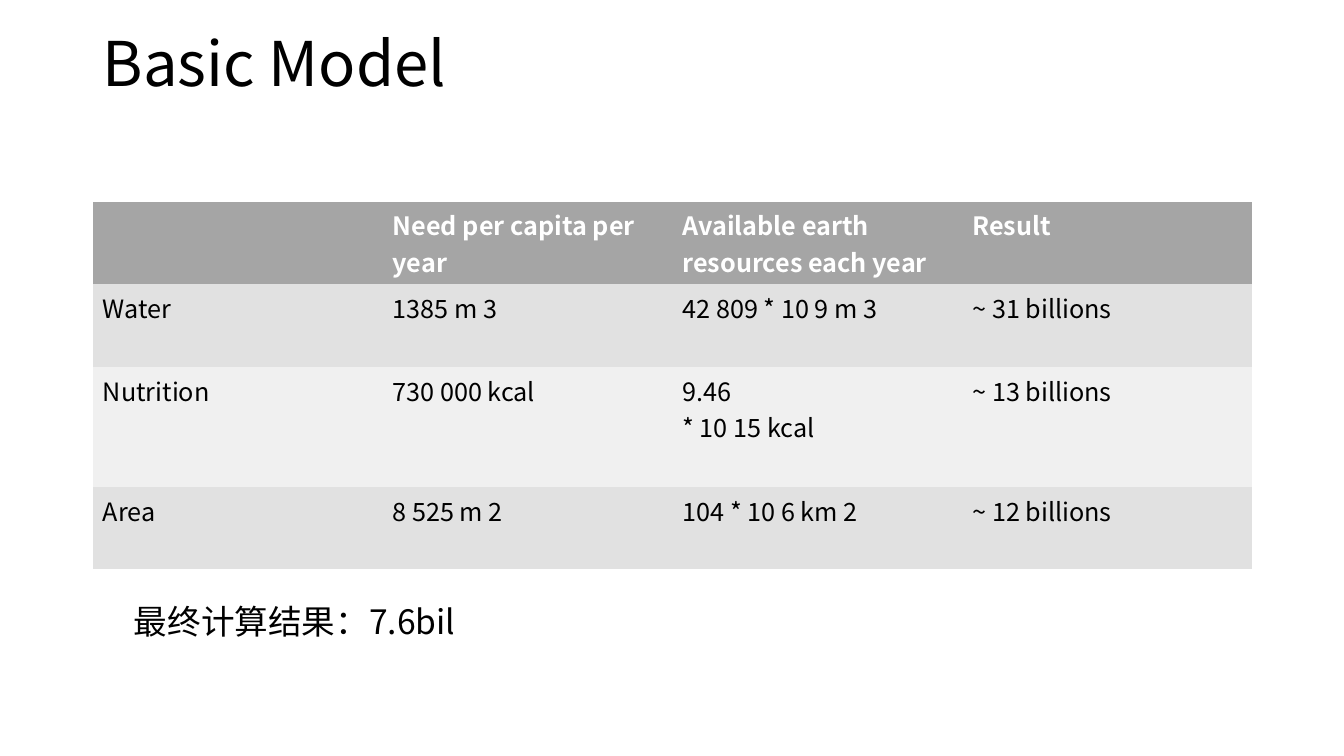
from pptx import Presentation
from pptx.dml.color import RGBColor
from pptx.enum.text import MSO_ANCHOR
from pptx.oxml.ns import qn
from pptx.util import Inches, Pt
from lxml import etree

TOP = MSO_ANCHOR.TOP
FONT = "Noto Sans CJK SC"
PLAIN_TABLE_STYLE = "{2D5ABB26-0587-4C30-8999-92F81FD0307C}"
COLORS = {
    "text": "000000",
    "header_text": "FFFFFF",
    "header": "A5A5A5",
    "dark_band": "E1E1E1",
    "light_band": "F0F0F0",
}

TITLE = {
    "lines": ["Basic Model"],
    "at": (0.92, 0.33, 11.5, 1.45),
    "size": 44,
    "frame": {"word_wrap": True, "vertical_anchor": TOP, "margin_top": 0},
    "spacing": 0.9,
}
CONCLUSION = {
    "lines": ["最终计算结果：7.6bil"],
    "at": (1.23, 5.91, 3.97, 0.5),
    "size": 24,
    "frame": {"word_wrap": True, "vertical_anchor": TOP},
    "spacing": 1.0,
}
TABLE_AT = (0.92, 2)
TABLE_WIDTH = 11.5
ROW_HEIGHTS = [0.82, 0.82, 1.19, 0.82]
ROWS = [
    ["", "Need per capita per year", "Available earth resources each year", "Result"],
    ["Water", "1385 m 3", "42 809 * 10 9 m 3", "~ 31 billions"],
    ["Nutrition", "730 000 kcal", "9.46\n* 10 15 kcal", "~ 13 billions"],
    ["Area", "8 525 m 2", "104 * 10 6 km 2", "~ 12 billions"],
]


def write_lines(frame, lines, size, color="text", bold=False, spacing=1.0):
    for index, line in enumerate(lines):
        para = frame.paragraphs[0] if index == 0 else frame.add_paragraph()
        para.line_spacing = spacing
        span = para.add_run()
        span.text = line
        for name, value in {"name": FONT, "size": Pt(size), "bold": bold}.items():
            setattr(span.font, name, value)
        span.font.color.rgb = RGBColor.from_string(COLORS[color])
        east_asian = etree.SubElement(span.font._element, qn("a:ea"))
        east_asian.set("typeface", FONT)


def add_text(page, content):
    box = page.shapes.add_textbox(*map(Inches, content["at"]))
    for name, value in content["frame"].items():
        setattr(box.text_frame, name, value)
    write_lines(box.text_frame, content["lines"], content["size"], spacing=content["spacing"])


def add_resource_table(page):
    left, top = TABLE_AT
    size = (TABLE_WIDTH, sum(ROW_HEIGHTS))
    shape = page.shapes.add_table(
        len(ROWS), len(ROWS[0]), *map(Inches, (left, top, *size))
    )
    table = shape.table
    table._tbl.tblPr.find(qn("a:tableStyleId")).text = PLAIN_TABLE_STYLE
    for column in table.columns:
        column.width = Inches(TABLE_WIDTH / len(ROWS[0]))
    for row_index, (texts, height) in enumerate(zip(ROWS, ROW_HEIGHTS)):
        table.rows[row_index].height = Inches(height)
        header = row_index == 0
        band = "header" if header else ("light_band", "dark_band")[row_index % 2]
        color = "header_text" if header else "text"
        for column_index, text in enumerate(texts):
            cell = table.cell(row_index, column_index)
            cell.fill.solid()
            cell.fill.fore_color.rgb = RGBColor.from_string(COLORS[band])
            if text:
                write_lines(cell.text_frame, text.split("\n"), 18, color, header)


def main():
    deck = Presentation()
    deck.slide_width, deck.slide_height = Inches(13.33), Inches(7.5)
    page = deck.slides.add_slide(deck.slide_layouts[6])
    add_text(page, TITLE)
    add_resource_table(page)
    add_text(page, CONCLUSION)
    deck.save("out.pptx")


if __name__ == "__main__":
    main()
